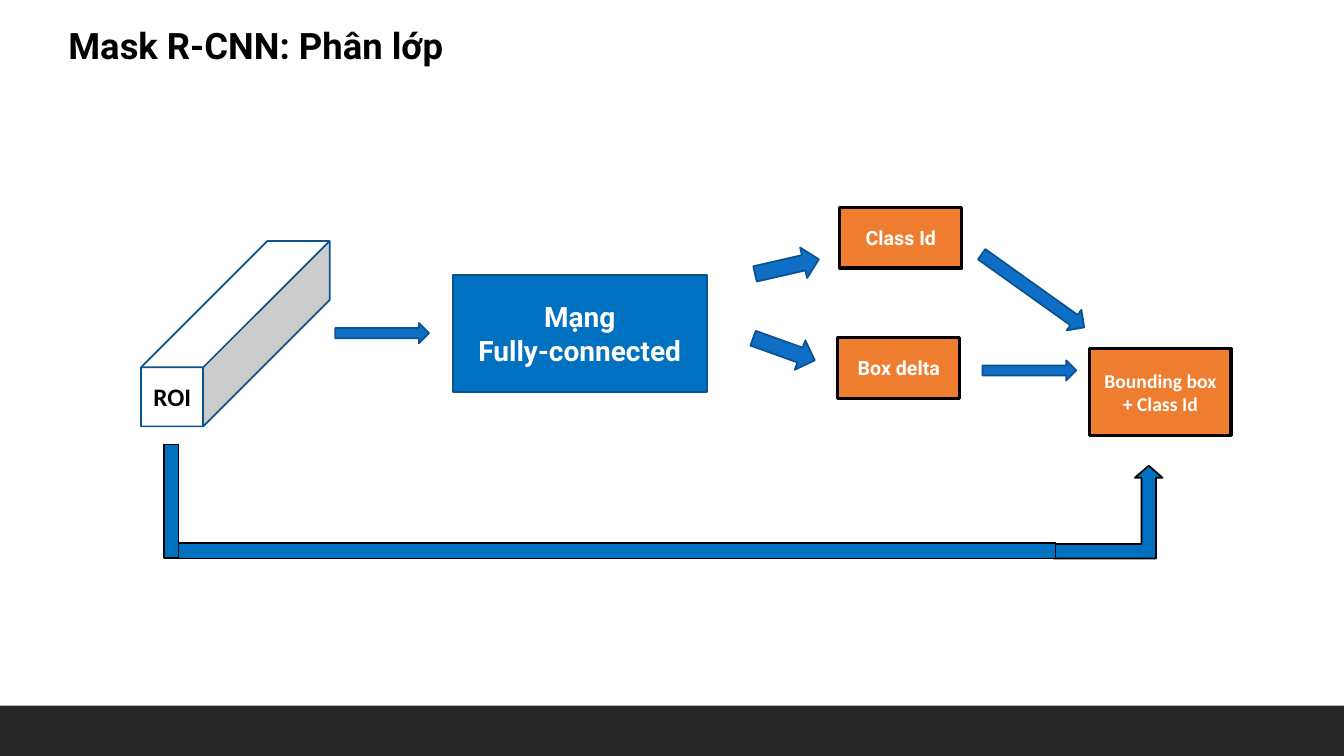
from pptx import Presentation
from pptx.dml.color import RGBColor
from pptx.enum.shapes import MSO_SHAPE as Shape
from pptx.enum.text import MSO_ANCHOR as Anchor, MSO_AUTO_SIZE as AutoSize, PP_ALIGN as Align
from pptx.util import Inches, Pt

BLACK = RGBColor(0x00, 0x00, 0x00)
WHITE = RGBColor(0xFF, 0xFF, 0xFF)
FOOTER_GRAY = RGBColor(0x26, 0x26, 0x26)
NETWORK_BLUE = RGBColor(0x00, 0x70, 0xC0)
ARROW_BLUE = RGBColor(0x0F, 0x6F, 0xC6)
OUTLINE_BLUE = RGBColor(0x0B, 0x52, 0x92)
OUTPUT_ORANGE = RGBColor(0xEE, 0x7D, 0x2F)


def add_figure(slide, kind, box, fill, line=None, width=1.25):
    """Add a preset shape at box = (left, top, width, height) in inches."""
    shape = slide.shapes.add_shape(kind, *map(Inches, box))
    shape.shadow.inherit = False
    shape.fill.solid()
    shape.fill.fore_color.rgb = fill
    if line is None:
        shape.line.fill.background()
    else:
        shape.line.color.rgb = line
        shape.line.width = Pt(width)
    return shape


def write_run(paragraph, text, size, font, color):
    run = paragraph.add_run()
    run.text = text
    run.font.size = Pt(size)
    run.font.name = font
    run.font.bold = True
    run.font.color.rgb = color


def add_label(shape, lines, size, font="Roboto", color=WHITE):
    frame = shape.text_frame
    frame.word_wrap = True
    frame.vertical_anchor = Anchor.MIDDLE
    for index, line in enumerate(lines):
        paragraph = frame.add_paragraph() if index else frame.paragraphs[0]
        paragraph.alignment = Align.CENTER
        write_run(paragraph, line, size, font, color)


def add_title(slide, text):
    title = slide.shapes.add_textbox(Inches(0.58), Inches(0.18), Inches(3.96), Inches(0.54))
    title.text_frame.word_wrap = False
    title.text_frame.auto_size = AutoSize.SHAPE_TO_FIT_TEXT
    write_run(title.text_frame.paragraphs[0], text, 26, "Roboto", BLACK)


def add_arrow(slide, box, rotation):
    arrow = add_figure(slide, Shape.DOWN_ARROW, box, ARROW_BLUE, OUTLINE_BLUE)
    arrow.rotation = rotation


def add_output(slide, box, text, font="Roboto"):
    output = add_figure(slide, Shape.RECTANGLE, box, OUTPUT_ORANGE, BLACK, 2.25)
    add_label(output, [text], 14, font)


def add_bypass(slide):
    """Add the path that carries the ROI to the final result."""
    bend = add_figure(slide, Shape.BENT_ARROW, (10.53, 4.54, 0.92, 1.08), NETWORK_BLUE, BLACK)
    for index, value in enumerate((0.157, 0.149, 0.13, 0)):
        bend.adjustments[index] = value
    bend.rotation = 270
    bend.element.spPr.xfrm.set("flipV", "1")
    for box in ((1.76, 5.39, 8.71, 0.15), (1.63, 4.41, 0.14, 1.13)):
        add_figure(slide, Shape.RECTANGLE, box, NETWORK_BLUE, BLACK)


def main():
    presentation = Presentation()
    presentation.slide_width = Inches(13.33)
    presentation.slide_height = Inches(7.5)
    slide = presentation.slides.add_slide(presentation.slide_layouts[6])

    # Footer band and title
    add_figure(slide, Shape.RECTANGLE, (0, 7, 13.33, 0.5), FOOTER_GRAY)
    add_title(slide, "Mask R-CNN: Phân lớp")

    # Region of interest and network
    roi = add_figure(slide, Shape.CUBE, (1.4, 2.39, 1.87, 1.84), WHITE, OUTLINE_BLUE)
    roi.adjustments[0] = 0.681
    add_label(roi, ["ROI"], 18, "Calibri", BLACK)
    network = add_figure(slide, Shape.RECTANGLE, (4.49, 2.73, 2.52, 1.16),
                         NETWORK_BLUE, OUTLINE_BLUE)
    add_label(network, ["Mạng", "Fully-connected"], 20)

    # Arrows between the stages
    for box, rotation in (
        ((7.65, 2.32, 0.31, 0.65), 257.1),
        ((7.62, 3.14, 0.31, 0.65), 289.7),
        ((10.12, 2.26, 0.25, 1.25), 305.5),
        ((10.11, 3.21, 0.2, 0.93), 270),
        ((3.69, 2.84, 0.2, 0.93), 270),
    ):
        add_arrow(slide, box, rotation)

    # Outputs and bypass
    add_output(slide, (8.31, 3.35, 1.21, 0.6), "Box delta")
    add_output(slide, (8.33, 2.06, 1.21, 0.6), "Class Id")
    add_bypass(slide)
    add_output(slide, (10.81, 3.46, 1.4, 0.86), "Bounding box + Class Id", "Calibri")

    presentation.save("out.pptx")


if __name__ == "__main__":
    main()
